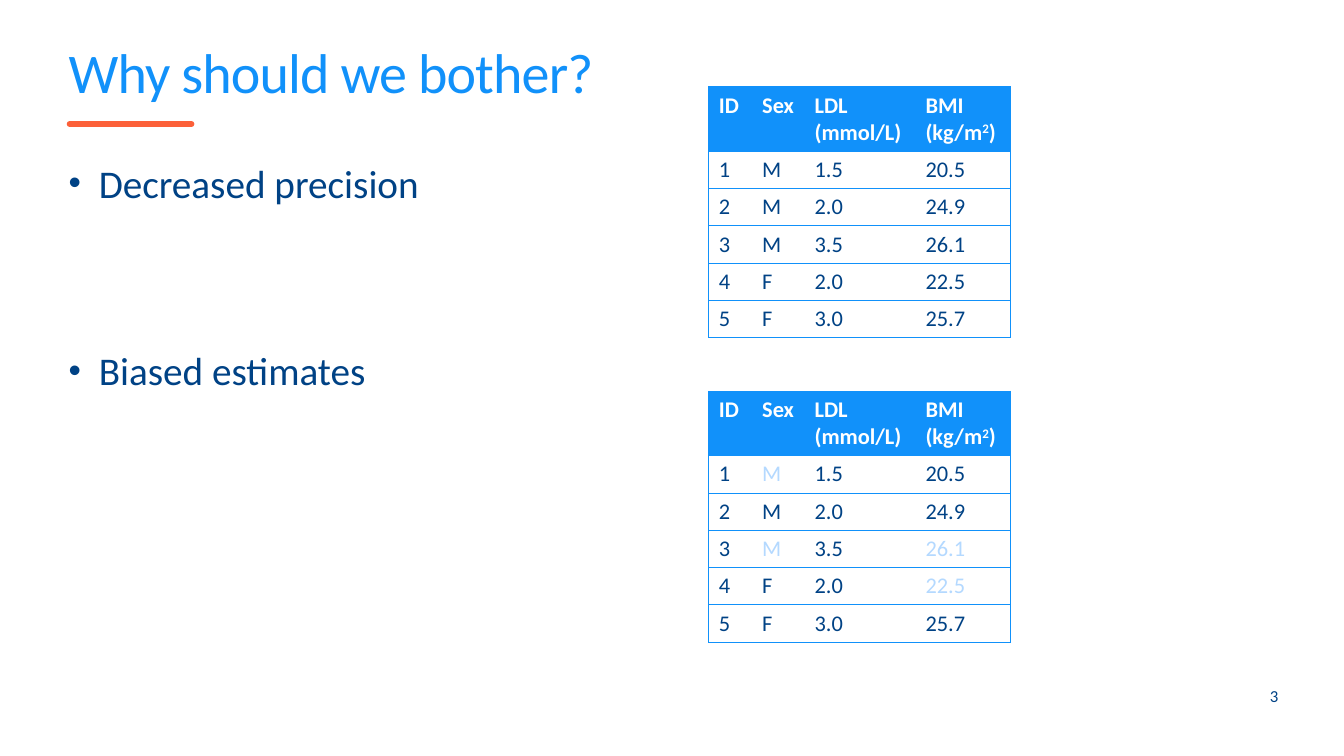
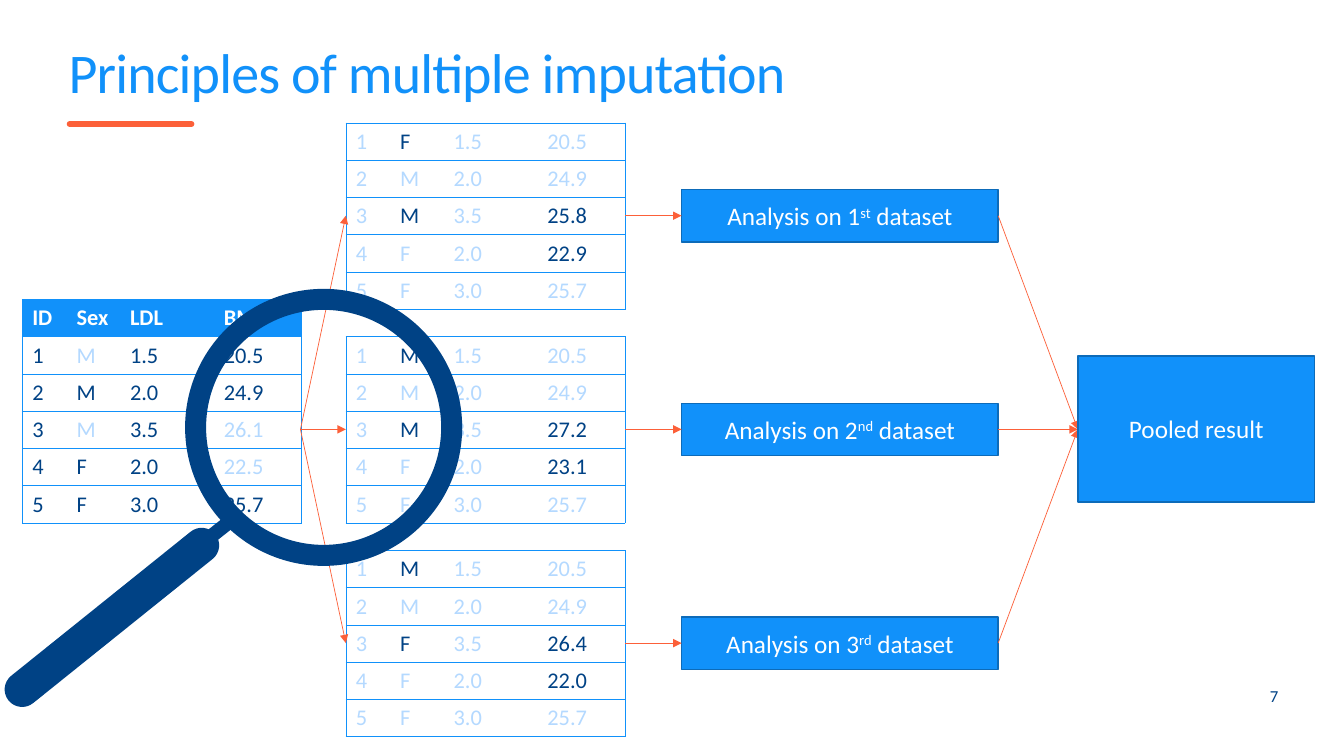
from lxml import etree
from pptx import Presentation
from pptx.dml.color import RGBColor
from pptx.enum.shapes import MSO_CONNECTOR, MSO_SHAPE
from pptx.enum.text import MSO_ANCHOR, PP_ALIGN
from pptx.oxml.ns import qn
from pptx.util import Inches, Pt

BLUE = RGBColor(0x11, 0x91, 0xFA)
EDGE = RGBColor(0x0D, 0x6B, 0xB9)
NAVY = RGBColor(0x00, 0x42, 0x85)
FADED = RGBColor(0xB4, 0xD9, 0xFF)
ORANGE = RGBColor(0xFC, 0x60, 0x39)
WHITE = RGBColor(0xFF, 0xFF, 0xFF)
FONT = "Calibri"
STRAIGHT, RECT, OVAL = MSO_CONNECTOR.STRAIGHT, MSO_SHAPE.RECTANGLE, MSO_SHAPE.OVAL
TOP, MIDDLE = MSO_ANCHOR.TOP, MSO_ANCHOR.MIDDLE
LEFT, CENTER, RIGHT = PP_ALIGN.LEFT, PP_ALIGN.CENTER, PP_ALIGN.RIGHT
NO_TABLE_STYLE = "{2D5ABB26-0587-4C30-8999-92F81FD0307C}"

ROW_H = 0.37
PATIENTS = [
    ["1", "M", "1.5", "20.5"],
    ["2", "M", "2.0", "24.9"],
    ["3", "M", "3.5", "26.1"],
    ["4", "F", "2.0", "22.5"],
    ["5", "F", "3.0", "25.7"],
]
ALL_CELLS = {(r, c) for r in range(5) for c in range(4)}
MISSING = [(0, 1), (2, 1), (2, 3), (3, 3)]


def sub(parent, tag, **attrs):
    return etree.SubElement(parent, qn(tag), attrs)


def add_runs(p, text, size, color, bold=False):
    """Fill a paragraph; parts between ^ marks are superscript."""
    for i, part in enumerate(text.split("^")):
        r = p.add_run()
        r.text = part
        formats = {"name": FONT, "size": Pt(size), "bold": bold}
        for name, value in formats.items():
            setattr(r.font, name, value)
        r.font.color.rgb = color
        if i % 2:
            r.font._element.set("baseline", "30000")


def format_frame(tf, anchor, margin=0.0):
    formats = {"word_wrap": True, "vertical_anchor": anchor}
    for side in ("left", "top", "right", "bottom"):
        formats["margin_" + side] = Inches(margin)
    for name, value in formats.items():
        setattr(tf, name, value)


def add_text(s, box, text, size, color, align=LEFT, anchor=TOP):
    tf = s.shapes.add_textbox(*map(Inches, box)).text_frame
    format_frame(tf, anchor)
    p = tf.paragraphs[0]
    p.alignment = align
    add_runs(p, text, size, color)


def add_line(s, start, end, color, width, arrow=False):
    """Draw a round-capped line, or a flat one with an arrowhead."""
    line = s.shapes.add_connector(STRAIGHT, *map(Inches, start + end))
    line.line.color.rgb = color
    line.line.width = Pt(width)
    ln = line.line._get_or_add_ln()
    if arrow:
        sub(ln, "a:tailEnd", type="triangle")
    else:
        ln.set("cap", "rnd")
    sub(line._element.spPr, "a:effectLst")


def add_arrow(s, start, end):
    add_line(s, start, end, ORANGE, 0.5, arrow=True)


def add_box(s, box, text):
    sp = s.shapes.add_shape(RECT, *map(Inches, box))
    sp.shadow.inherit = False
    sp.fill.solid()
    sp.fill.fore_color.rgb = BLUE
    sp.line.color.rgb = EDGE
    sp.line.width = Pt(1)
    format_frame(sp.text_frame, MIDDLE, 0.05)
    p = sp.text_frame.paragraphs[0]
    p.alignment = CENTER
    add_runs(p, text, 18, WHITE)


def add_base_slide(prs, title, number):
    """Add a slide with the shared title, accent line and page number."""
    s = prs.slides.add_slide(prs.slide_layouts[5])
    sp = s.shapes.title
    sp.left, sp.top, sp.width, sp.height = map(Inches, (0.68, 0.5, 12, 0.72))
    format_frame(sp.text_frame, TOP)
    p = sp.text_frame.paragraphs[0]
    p.alignment = LEFT
    p.line_spacing = 0.8
    add_runs(p, title, 40, BLUE)
    p.runs[0].font._element.set("spc", "-60")
    add_line(s, (0.69, 1.23), (1.9, 1.23), ORANGE, 4)
    add_text(s, (12.28, 6.77, 0.4, 0.27), number, 12, NAVY, RIGHT, MIDDLE)
    return s


def add_bullets(s, box, items, gap):
    tf = s.shapes.add_textbox(*map(Inches, box)).text_frame
    format_frame(tf, TOP)
    for i, item in enumerate(items):
        p = tf.add_paragraph() if i else tf.paragraphs[0]
        p.line_spacing = 0.8
        p.space_before = Pt(gap if i else 0)
        pPr = p._p.get_or_add_pPr()
        pPr.set("marL", str(Inches(0.3)))
        pPr.set("indent", str(Inches(-0.3)))
        sub(sub(pPr, "a:buClr"), "a:srgbClr", val=str(NAVY))
        sub(pPr, "a:buSzPct", val="90000")
        sub(pPr, "a:buFont", typeface="Arial")
        sub(pPr, "a:buChar", char="•")
        add_runs(p, item, 28, NAVY)


def border_cell(cell, sides):
    tcPr = cell._tc.get_or_add_tcPr()
    for side in "LRTB":
        ln = sub(tcPr, "a:ln" + side, w=str(Pt(0.5)))
        if side in sides:
            sub(sub(ln, "a:solidFill"), "a:srgbClr", val=str(BLUE))
        else:
            sub(ln, "a:noFill")


def add_data_table(s, left, top, widths, rows, faded, header=None, header_h=ROW_H):
    """Add a ruled table; faded holds the (row, column) of pale body cells."""
    lines = ([header] if header else []) + rows
    first = len(lines) - len(rows)
    heights = [header_h] * first + [ROW_H] * len(rows)
    frame = s.shapes.add_table(len(lines), len(widths), Inches(left), Inches(top),
                               Inches(sum(widths)), Inches(sum(heights)))
    table = frame.table
    table.first_row = bool(header)
    table.horz_banding = False
    table._tbl.tblPr.find(qn("a:tableStyleId")).text = NO_TABLE_STYLE
    for column, width in zip(table.columns, widths):
        column.width = Inches(width)
    for r, (line, height) in enumerate(zip(lines, heights)):
        table.rows[r].height = Inches(height)
        for c, text in enumerate(line):
            cell = table.cell(r, c)
            sides = "TB" + ("L" if c == 0 else "") + ("R" if c == len(widths) - 1 else "")
            border_cell(cell, sides)
            p = cell.text_frame.paragraphs[0]
            if r < first:
                cell.fill.solid()
                cell.fill.fore_color.rgb = BLUE
                add_runs(p, text, 16, WHITE, bold=True)
            else:
                cell.fill.background()
                add_runs(p, text, 16, FADED if (r - first, c) in faded else NAVY)


def impute(values):
    """Return the patient rows with the missing cells replaced."""
    rows = [list(row) for row in PATIENTS]
    for (r, c), value in zip(MISSING, values):
        rows[r][c] = value
    return rows


def add_magnifier(s, left, top):
    """Draw lens and handle in a box of 4.26 by 3.87 inches."""
    lens = s.shapes.add_shape(OVAL, Inches(left + 1.72), Inches(top),
                              Inches(2.54), Inches(2.54))
    lens.shadow.inherit = False
    lens.fill.background()
    lens.line.color.rgb = NAVY
    lens.line.width = Pt(15)
    add_line(s, (left + 2.09, top + 2.18), (left + 0.2, top + 3.67), NAVY, 10)
    add_line(s, (left + 1.78, top + 2.44), (left, top + 3.87), NAVY, 25)


def build_reasons(prs):
    s = add_base_slide(prs, "Why should we bother?", "3")
    add_bullets(s, (0.68, 1.67, 5.9, 4.72),
                ["Decreased precision", "Biased estimates"], 107)
    header = ["ID", "Sex", "LDL (mmol/L)", "BMI (kg/m^2^)"]
    for top, faded in ((0.86, []), (3.88, MISSING)):
        add_data_table(s, 7.03, top, [0.43, 0.52, 1.1, 0.94], PATIENTS, faded,
                       header, 0.64)


def build_principles(prs):
    s = add_base_slide(prs, "Principles of multiple imputation", "7")
    widths = [0.44, 0.53, 0.93, 0.87]
    center, pitch = 4.26, 2.12
    source_right, copies_left, copies_right = 2.98, 3.43, 6.2
    analysis_left, analysis_w, analysis_h = 6.76, 3.14, 0.52
    analysis_right, pooled_left = analysis_left + analysis_w, 10.69
    add_data_table(s, 0.22, 2.97, widths, PATIENTS, MISSING,
                   ["ID", "Sex", "LDL", "BMI"])
    branches = [
        ("1^st^", ["F", "M", "25.8", "22.9"]),
        ("2^nd^", ["M", "M", "27.2", "23.1"]),
        ("3^rd^", ["M", "F", "26.4", "22.0"]),
    ]
    for i, (ordinal, values) in enumerate(branches):
        y = center + (i - 1) * pitch
        add_data_table(s, copies_left, y - 0.92, widths, impute(values),
                       ALL_CELLS - set(MISSING))
        add_box(s, (analysis_left, y - analysis_h / 2, analysis_w, analysis_h),
                f"Analysis on {ordinal} dataset")
        add_arrow(s, (source_right, center), (copies_left, y))
        add_arrow(s, (copies_right, y), (analysis_left, y))
        add_arrow(s, (analysis_right, y), (pooled_left, center))
    add_box(s, (pooled_left, 3.53, 2.35, 1.45), "Pooled result")
    add_magnifier(s, 0.22, 2.97)


def main():
    prs = Presentation()
    prs.slide_width, prs.slide_height = Inches(13.33), Inches(7.5)
    build_reasons(prs)
    build_principles(prs)
    prs.save("out.pptx")


if __name__ == "__main__":
    main()
